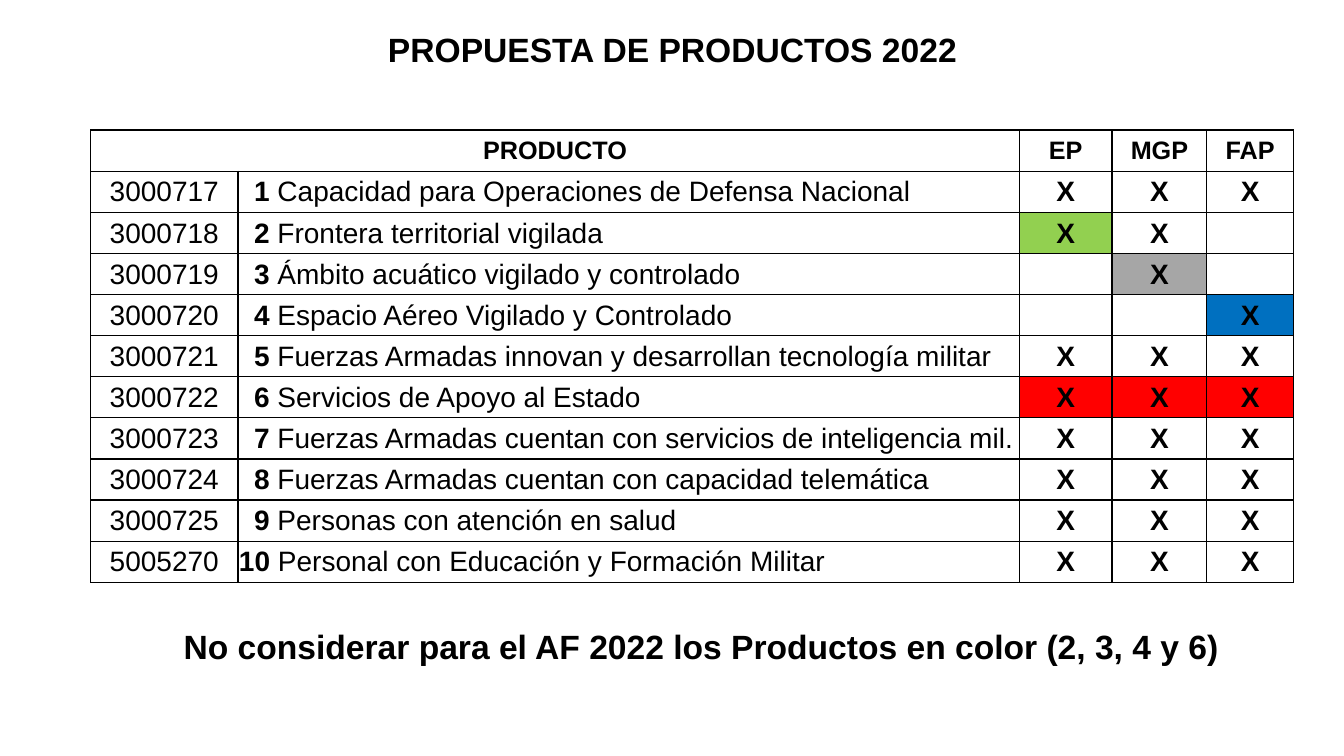
from lxml import etree
from pptx import Presentation
from pptx.dml.color import RGBColor
from pptx.enum.text import MSO_ANCHOR as Anchor, PP_ALIGN as Align
from pptx.oxml.ns import qn
from pptx.util import Inches, Pt

BLACK = RGBColor(0x00, 0x00, 0x00)
WHITE = RGBColor(0xFF, 0xFF, 0xFF)
GREEN = RGBColor(0x92, 0xD0, 0x50)
GRAY = RGBColor(0xA6, 0xA6, 0xA6)
BLUE = RGBColor(0x00, 0x70, 0xC0)
RED = RGBColor(0xFF, 0x00, 0x00)

FORCES = ("EP", "MGP", "FAP")
COLUMN_WIDTHS = (1.46, 7.75, 0.92, 0.94, 0.86)
TABLE_HEIGHT = 4.49
DIGIT_INDENT = 0.15

PRODUCTS = (
    ("3000717", "Capacidad para Operaciones de Defensa Nacional", FORCES, WHITE),
    ("3000718", "Frontera territorial vigilada", ("EP", "MGP"), WHITE),
    ("3000719", "Ámbito acuático vigilado y controlado", ("MGP",), GRAY),
    ("3000720", "Espacio Aéreo Vigilado y Controlado", ("FAP",), BLUE),
    ("3000721", "Fuerzas Armadas innovan y desarrollan tecnología militar", FORCES, WHITE),
    ("3000722", "Servicios de Apoyo al Estado", FORCES, RED),
    ("3000723", "Fuerzas Armadas cuentan con servicios de inteligencia mil.", FORCES, WHITE),
    ("3000724", "Fuerzas Armadas cuentan con capacidad telemática", FORCES, WHITE),
    ("3000725", "Personas con atención en salud", FORCES, WHITE),
    ("5005270", "Personal con Educación y Formación Militar", FORCES, WHITE),
)
SINGLE_FILLS = {(2, "EP"): GREEN}


def format_run(run, size, bold):
    run.font.name = "Arial"
    run.font.size = Pt(size)
    run.font.bold = bold
    run.font.color.rgb = BLACK


def write_heading(shape, text, left, top, width, height):
    shape.left, shape.top = Inches(left), Inches(top)
    shape.width, shape.height = Inches(width), Inches(height)
    frame = shape.text_frame
    frame.word_wrap = True
    frame.vertical_anchor = Anchor.MIDDLE
    frame.text = text
    paragraph = frame.paragraphs[0]
    paragraph.alignment = Align.CENTER
    format_run(paragraph.runs[0], 24, True)


def style_cell(cell, fill):
    properties = cell._tc.get_or_add_tcPr()
    for side in ("a:lnL", "a:lnR", "a:lnT", "a:lnB"):
        border = etree.SubElement(properties, qn(side), w=str(Pt(1)))
        solid = etree.SubElement(border, qn("a:solidFill"))
        etree.SubElement(solid, qn("a:srgbClr"), val=str(BLACK))
    cell.fill.solid()
    cell.fill.fore_color.rgb = fill
    cell.vertical_anchor = Anchor.MIDDLE
    cell.margin_left = cell.margin_right = cell.margin_top = Inches(0.01)
    cell.margin_bottom = 0


def write_centered(cell, text, size, bold, fill=WHITE):
    style_cell(cell, fill)
    paragraph = cell.text_frame.paragraphs[0]
    paragraph.text = text
    paragraph.alignment = Align.CENTER
    for run in paragraph.runs:
        format_run(run, size, bold)


def write_product(cell, number, name):
    style_cell(cell, WHITE)
    paragraph = cell.text_frame.paragraphs[0]
    if number < 10:
        paragraph._p.get_or_add_pPr().set("marL", str(Inches(DIGIT_INDENT)))
    for text, bold in ((str(number), True), (f" {name}", False)):
        run = paragraph.add_run()
        run.text = text
        format_run(run, 20, bold)


def add_product_table(slide):
    row_count = len(PRODUCTS) + 1
    table = slide.shapes.add_table(
        row_count, len(COLUMN_WIDTHS), Inches(0.9), Inches(1.29),
        Inches(sum(COLUMN_WIDTHS)), Inches(TABLE_HEIGHT)).table
    table.first_row = table.horz_banding = False
    for column, width in zip(table.columns, COLUMN_WIDTHS):
        column.width = Inches(width)
    for row in table.rows:
        row.height = Inches(TABLE_HEIGHT / row_count)

    for column, heading in enumerate(("PRODUCTO", "", *FORCES)):
        write_centered(table.cell(0, column), heading, 18, True)
    table.cell(0, 0).merge(table.cell(0, 1))

    for number, (code, name, members, color) in enumerate(PRODUCTS, start=1):
        write_centered(table.cell(number, 0), code, 20, False)
        write_product(table.cell(number, 1), number, name)
        for column, force in enumerate(FORCES, start=2):
            marked = force in members
            fill = SINGLE_FILLS.get((number, force), color if marked else WHITE)
            write_centered(table.cell(number, column), "X" if marked else "", 20, True, fill)


def main():
    deck = Presentation()
    deck.slide_width, deck.slide_height = Inches(13.33), Inches(7.5)
    slide = deck.slides.add_slide(deck.slide_layouts[5])
    write_heading(slide.shapes.title, "PROPUESTA DE PRODUCTOS 2022", 1.71, 0.21, 9.92, 0.55)
    add_product_table(slide)
    footnote = slide.shapes.add_textbox(0, 0, 0, 0)
    write_heading(footnote, "No considerar para el AF 2022 los Productos en color (2, 3, 4 y 6)",
                  1.08, 6.16, 11.75, 0.5)
    deck.save("out.pptx")


if __name__ == "__main__":
    main()
